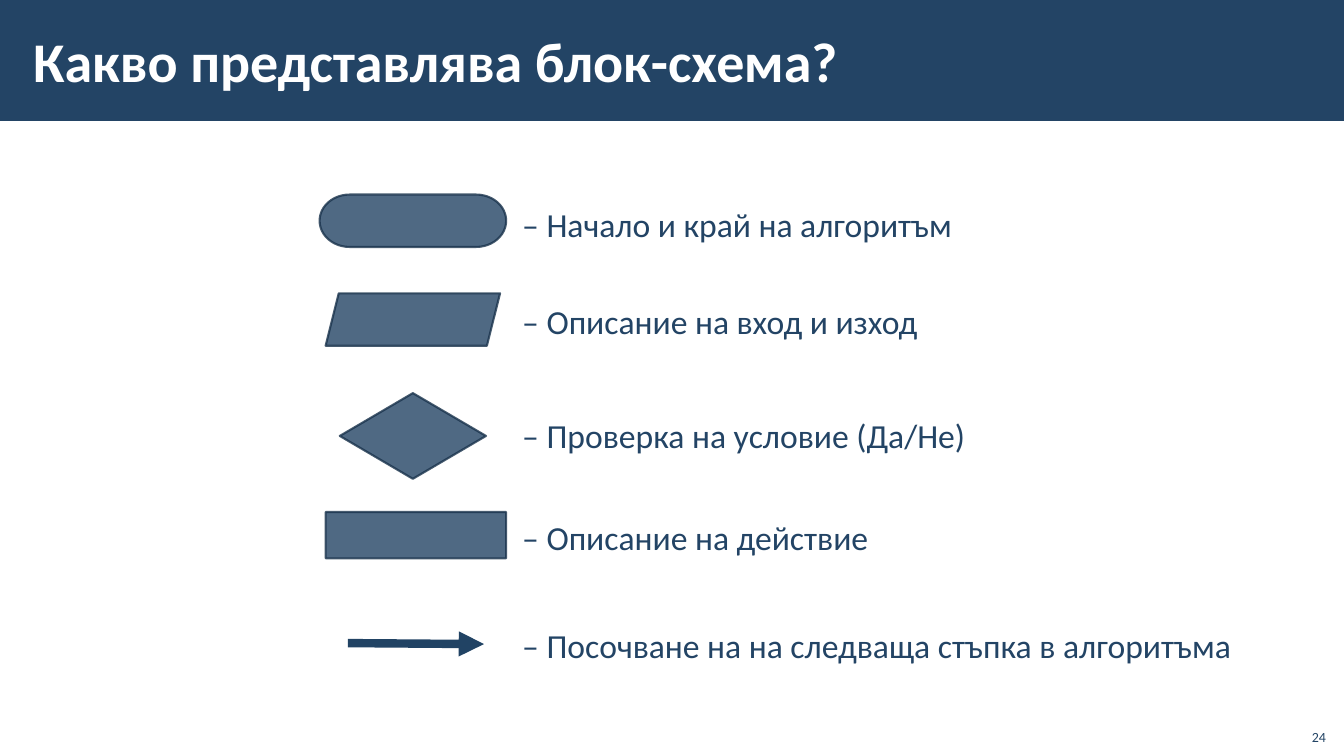
from pptx import Presentation
from pptx.dml.color import RGBColor
from pptx.enum.shapes import MSO_CONNECTOR, MSO_SHAPE as SHAPE
from pptx.enum.text import MSO_ANCHOR as ANCHOR, MSO_AUTO_SIZE, PP_ALIGN as ALIGN
from pptx.oxml.ns import qn
from pptx.util import Inches, Pt
from lxml.etree import SubElement

NAVY, OUTLINE, ARROW, WHITE = "234465", "1A334C", "214364", "FFFFFF"


def color(hex_value):
    return RGBColor.from_string(hex_value)


class FlowchartSlide:
    font_name = "Calibri"
    symbol_opacity = 80

    def __init__(self, presentation):
        self.slide = presentation.slides.add_slide(presentation.slide_layouts[6])
        self.shapes = self.slide.shapes

    def block(self, kind, left, top, width, height, fill=NAVY):
        block = self.shapes.add_shape(
            kind, Inches(left), Inches(top), Inches(width), Inches(height))
        block.shadow.inherit = False
        block.fill.solid()
        block.fill.fore_color.rgb = color(fill)
        block.line.fill.background()
        return block

    def symbol(self, kind, left, top, width, height):
        """Add a translucent, outlined flowchart symbol."""
        symbol = self.block(kind, left, top, width, height)
        symbol.line.color.rgb = color(OUTLINE)
        symbol.line.width = Pt(1.5)
        for tint in symbol._element.spPr.iter(qn("a:srgbClr")):
            SubElement(tint, qn("a:alpha"), val=str(self.symbol_opacity * 1000))

    def arrow(self, start, end):
        arrow = self.shapes.add_connector(
            MSO_CONNECTOR.STRAIGHT, *map(Inches, start + end))
        arrow.line.color.rgb = color(ARROW)
        arrow.line.width = Pt(6)
        SubElement(arrow.line._get_or_add_ln(), qn("a:tailEnd"), type="triangle")
        SubElement(arrow._element.spPr, qn("a:effectLst"))

    def text(self, words, left, top, width, height, size, ink=NAVY, bold=False,
             insets=(0.1, 0.05), anchor=ANCHOR.TOP, align=ALIGN.LEFT, spacing=None):
        box = self.shapes.add_textbox(
            Inches(left), Inches(top), Inches(width), Inches(height))
        frame = box.text_frame
        frame.text = words
        frame.word_wrap = True
        frame.vertical_anchor = anchor
        frame.margin_left = frame.margin_right = Inches(insets[0])
        frame.margin_top = frame.margin_bottom = Inches(insets[1])
        paragraph = frame.paragraphs[0]
        paragraph.alignment = align
        paragraph.line_spacing = spacing
        font = paragraph.runs[0].font
        font.name, font.size, font.bold = self.font_name, Pt(size), bold
        font.color.rgb = color(ink)
        return frame

    def meaning(self, words, top, width):
        """Explain the symbol to the left."""
        frame = self.text(f"– {words}", 5.02, top, width, 0.68, 24,
                          insets=(0.16, 0.12), spacing=1.1)
        frame.auto_size = MSO_AUTO_SIZE.SHAPE_TO_FIT_TEXT


def main():
    presentation = Presentation()
    presentation.slide_width = Inches(13.33)
    presentation.slide_height = Inches(7.5)
    page = FlowchartSlide(presentation)

    page.block(SHAPE.RECTANGLE, 0, 0, 13.33, 1.2)
    page.text("Какво представлява блок-схема?", 0.21, 0.11, 11.23, 0.97, 40, WHITE,
              bold=True, insets=(0.12, 0.04), anchor=ANCHOR.MIDDLE)

    symbols = [
        (SHAPE.FLOWCHART_TERMINATOR, 3.17, 1.93, 1.85, 0.52),
        (SHAPE.PARALLELOGRAM, 3.23, 2.91, 1.73, 0.52),
        (SHAPE.DIAMOND, 3.37, 3.9, 1.45, 0.85),
        (SHAPE.RECTANGLE, 3.23, 5.08, 1.79, 0.46),
    ]
    for symbol in symbols:
        page.symbol(*symbol)
    page.arrow((3.45, 6.38), (4.8, 6.39))

    meanings = [
        ("Начало и край на алгоритъм", 1.86, 4.66),
        ("Описание на вход и изход", 2.83, 4.66),
        ("Проверка на условие (Да/Не)", 3.96, 4.83),
        ("Описание на действие", 4.97, 4.66),
        ("Посочване на на следваща стъпка в алгоритъма", 6.04, 7.36),
    ]
    for meaning in meanings:
        page.meaning(*meaning)

    page.text("24", 12.85, 7.12, 0.4, 0.32, 10, anchor=ANCHOR.BOTTOM, align=ALIGN.RIGHT)
    presentation.save("out.pptx")


if __name__ == "__main__":
    main()
